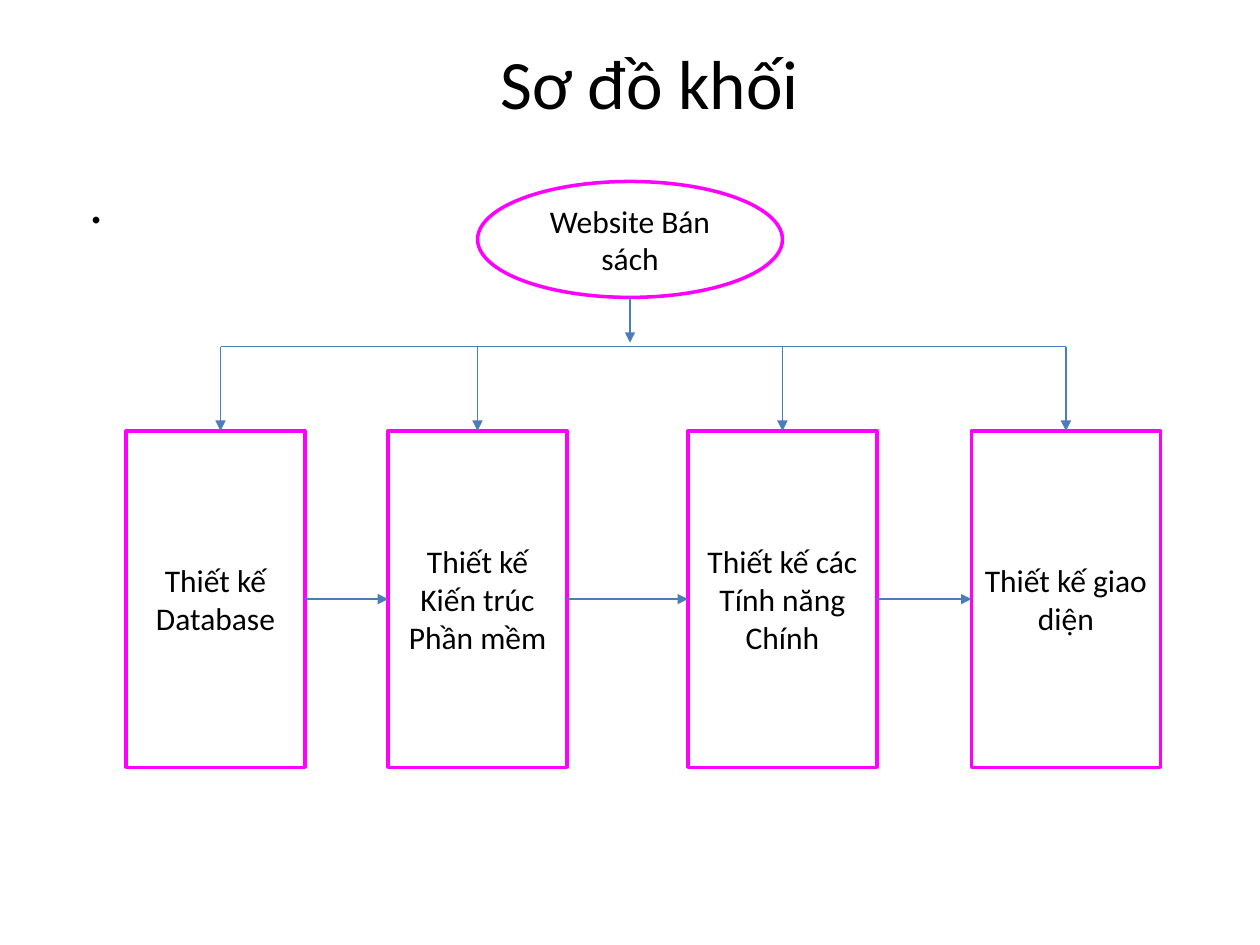
import dataclasses

import pptx
import pptx.dml.color
import pptx.enum.shapes
import pptx.enum.text
import pptx.oxml.ns
import pptx.util
from lxml import etree
from pptx.util import Inches


@dataclasses.dataclass(frozen=True)
class Theme:
    font: str = "Calibri"
    text: str = "000000"
    fill: str = "FFFFFF"
    border: str = "FF00FF"
    arrow: str = "4A7DBA"
    title_size: float = 39.6
    body_size: float = 32
    label_size: float = 18
    border_width: float = 2
    arrow_width: float = 0.75


THEME = Theme()
SHAPES = pptx.enum.shapes.MSO_SHAPE
ALIGN = pptx.enum.text.PP_ALIGN
ANCHOR = pptx.enum.text.MSO_ANCHOR


def color(value):
    return pptx.dml.color.RGBColor.from_string(value)


def write_text(shape, text, size, alignment=ALIGN.CENTER, anchor=ANCHOR.MIDDLE):
    frame = shape.text_frame
    frame.word_wrap = True
    frame.vertical_anchor = anchor
    paragraph = frame.paragraphs[0]
    paragraph.text = text
    paragraph.alignment = alignment
    paragraph.font.name = THEME.font
    paragraph.font.size = pptx.util.Pt(size)
    paragraph.font.color.rgb = color(THEME.text)


def add_text(slide, box, text, size, **layout):
    shape = slide.shapes.add_textbox(*map(Inches, box))
    write_text(shape, text, size, **layout)


def add_block(slide, preset, box, text):
    shape = slide.shapes.add_shape(preset, *map(Inches, box))
    shape.shadow.inherit = False
    shape.fill.solid()
    shape.fill.fore_color.rgb = color(THEME.fill)
    shape.line.color.rgb = color(THEME.border)
    shape.line.width = pptx.util.Pt(THEME.border_width)
    write_text(shape, text, THEME.label_size)


def add_line(slide, start, end, arrow=True):
    connector = slide.shapes.add_connector(
        pptx.enum.shapes.MSO_CONNECTOR.STRAIGHT, *map(Inches, (*start, *end))
    )
    connector.line.color.rgb = color(THEME.arrow)
    connector.line.width = pptx.util.Pt(THEME.arrow_width)
    if arrow:
        line = connector.line._get_or_add_ln()
        etree.SubElement(line, pptx.oxml.ns.qn("a:tailEnd"), type="triangle")
    properties = connector._element.spPr
    etree.SubElement(properties, pptx.oxml.ns.qn("a:effectLst"))


def add_stages(slide, top, height, branch_y):
    stages = [
        (1, 1.42, 1.75, "Thiết kế Database"),
        (3.08, 1.42, 3.79, "Thiết kế Kiến trúc Phần mềm"),
        (5.46, 1.5, 6.21, "Thiết kế các Tính năng Chính"),
        (7.71, 1.5, 8.46, "Thiết kế giao diện"),
    ]
    for left, width, branch_x, label in stages:
        add_block(slide, SHAPES.RECTANGLE, (left, top, width, height), label)
        add_line(slide, (branch_x, branch_y), (branch_x, top))
    add_line(slide, (stages[0][2], branch_y), (stages[-1][2], branch_y), arrow=False)

    middle = top + height / 2
    for (left, width, *_), (next_left, *_) in zip(stages, stages[1:]):
        add_line(slide, (left + width, middle), (next_left, middle))


def main():
    presentation = pptx.Presentation()
    presentation.slide_width = Inches(10)
    presentation.slide_height = Inches(7.5)
    slide = presentation.slides.add_slide(presentation.slide_layouts[6])

    add_text(slide, (3.58, 0.25, 3.15, 0.8), "Sơ đồ khối", THEME.title_size)
    add_block(slide, SHAPES.OVAL, (3.79, 1.44, 2.42, 0.92), "Website Bán sách")
    add_line(slide, (5, 2.36), (5, 2.72))
    add_stages(slide, top=3.42, height=2.67, branch_y=2.75)
    add_text(slide, (0.61, 1.28, 9, 4.95), ".", THEME.body_size,
             alignment=ALIGN.LEFT, anchor=ANCHOR.TOP)

    presentation.save("out.pptx")


if __name__ == "__main__":
    main()
